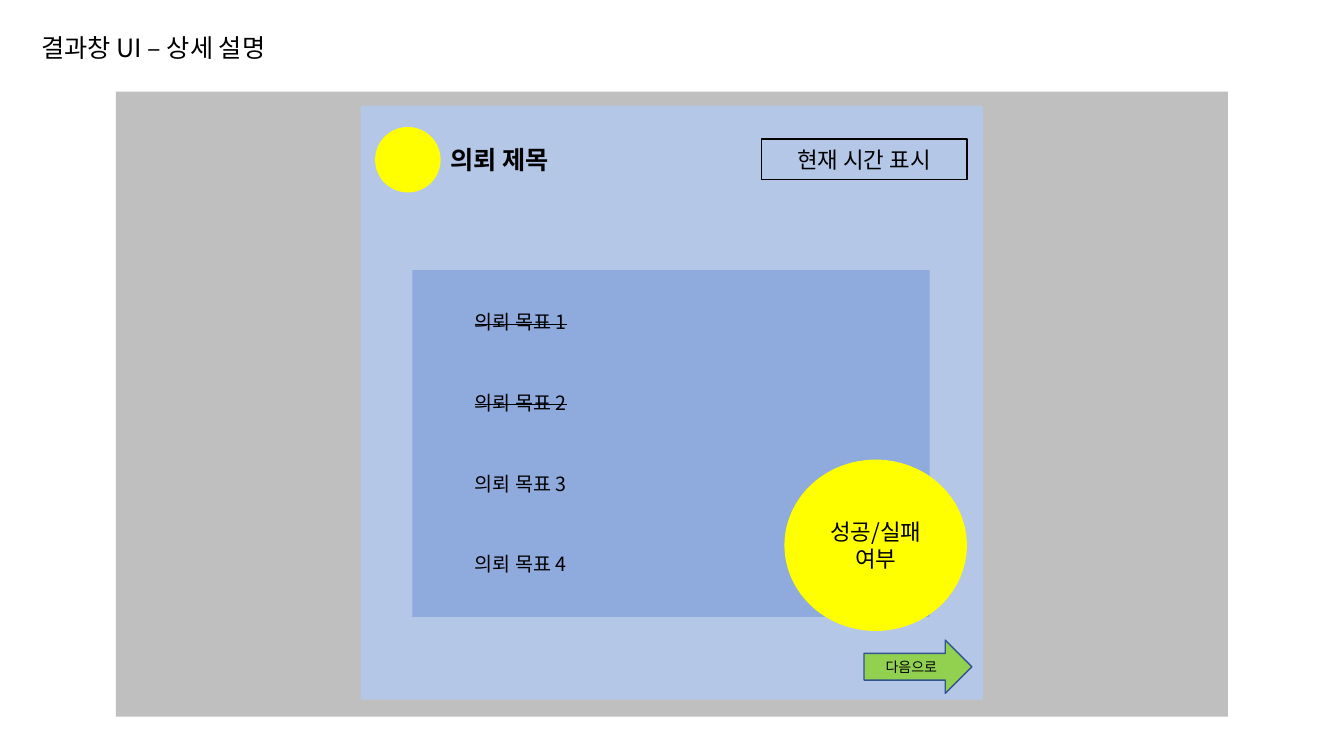
from dataclasses import dataclass

from lxml.etree import SubElement
from pptx import Presentation
from pptx.dml.color import RGBColor
from pptx.enum.shapes import MSO_SHAPE
from pptx.enum.text import MSO_ANCHOR, MSO_AUTO_SIZE, PP_ALIGN
from pptx.oxml.ns import qn
from pptx.util import Inches, Pt


@dataclass(frozen=True)
class Theme:
    font: str = "Noto Sans CJK KR"
    text: str = "000000"
    backdrop: str = "BFBFBF"
    window: str = "B4C7E7"
    goal_panel: str = "8FAADC"
    highlight: str = "FFFF00"
    button: str = "92D050"
    button_line: str = "325491"
    heading_size: int = 18
    label_size: int = 16
    goal_size: int = 14
    button_size: int = 10


THEME = Theme()


def add_span(para, text, size, bold=False, strike=False):
    span = para.add_run()
    span.text = text
    span.font.size = Pt(size)
    span.font.bold = bold
    span.font.name = THEME.font
    span.font.color.rgb = RGBColor.from_string(THEME.text)
    properties = span._r.get_or_add_rPr()
    SubElement(properties, qn("a:ea"), typeface=THEME.font)
    if strike:
        properties.set("strike", "sngStrike")


def fill_label(box, text, size, **style):
    frame = box.text_frame
    frame.word_wrap = False
    frame.auto_size = MSO_AUTO_SIZE.SHAPE_TO_FIT_TEXT
    frame.vertical_anchor = MSO_ANCHOR.TOP
    para = frame.paragraphs[0]
    para.alignment = PP_ALIGN.LEFT
    add_span(para, text, size, **style)


def add_title(page, text, left, top, width, height):
    title = page.shapes.title
    title.left, title.top = Inches(left), Inches(top)
    title.width, title.height = Inches(width), Inches(height)
    fill_label(title, text, THEME.heading_size)


def add_label(page, text, size, left, top, width, height, **style):
    box = page.shapes.add_textbox(
        Inches(left), Inches(top), Inches(width), Inches(height)
    )
    fill_label(box, text, size, **style)


def add_block(page, kind, fill, left, top, width, height, line=None, lines=(), size=None):
    block = page.shapes.add_shape(
        kind, Inches(left), Inches(top), Inches(width), Inches(height)
    )
    block.shadow.inherit = False
    block.fill.solid()
    block.fill.fore_color.rgb = RGBColor.from_string(fill)
    if line:
        block.line.color.rgb = RGBColor.from_string(line)
        block.line.width = Pt(1)
    else:
        block.line.fill.background()
    frame = block.text_frame
    frame.vertical_anchor = MSO_ANCHOR.MIDDLE
    for index, text in enumerate(lines):
        para = frame.add_paragraph() if index else frame.paragraphs[0]
        para.alignment = PP_ALIGN.CENTER
        add_span(para, text, size)


def add_goals(page, count, done):
    for index in range(count):
        add_label(page, f"의뢰 목표 {index + 1}", THEME.goal_size,
                  4.61, 3.03 + 0.8 * index, 1.23, 0.34, strike=index < done)


def main():
    deck = Presentation()
    deck.slide_width, deck.slide_height = Inches(13.33), Inches(7.5)
    page = deck.slides.add_slide(deck.slide_layouts.get_by_name("Title Only"))

    add_title(page, "결과창 UI – 상세 설명", 0.31, 0.27, 2.7, 0.4)
    add_block(page, MSO_SHAPE.RECTANGLE, THEME.backdrop, 1.15, 0.91, 11.03, 6.2)
    add_block(page, MSO_SHAPE.RECTANGLE, THEME.window, 3.58, 1.05, 6.17, 5.89)
    add_label(page, "의뢰 제목", THEME.heading_size, 4.37, 1.38, 1.3, 0.4, bold=True)
    add_block(page, MSO_SHAPE.OVAL, THEME.highlight, 3.72, 1.26, 0.65, 0.65)
    add_block(page, MSO_SHAPE.RECTANGLE, THEME.goal_panel, 4.09, 2.68, 5.13, 3.44)
    add_goals(page, count=4, done=2)
    add_block(page, MSO_SHAPE.RECTANGLE, THEME.window, 7.55, 1.38, 2.04, 0.4,
              THEME.text, ["현재 시간 표시"], THEME.label_size)
    add_block(page, MSO_SHAPE.RIGHT_ARROW, THEME.button, 8.57, 6.35, 1.07, 0.53,
              THEME.button_line, ["다음으로"], THEME.button_size)
    add_block(page, MSO_SHAPE.OVAL, THEME.highlight, 7.78, 4.56, 1.81, 1.7,
              lines=["성공/실패", "여부"], size=THEME.label_size)

    deck.save("out.pptx")


if __name__ == "__main__":
    main()
